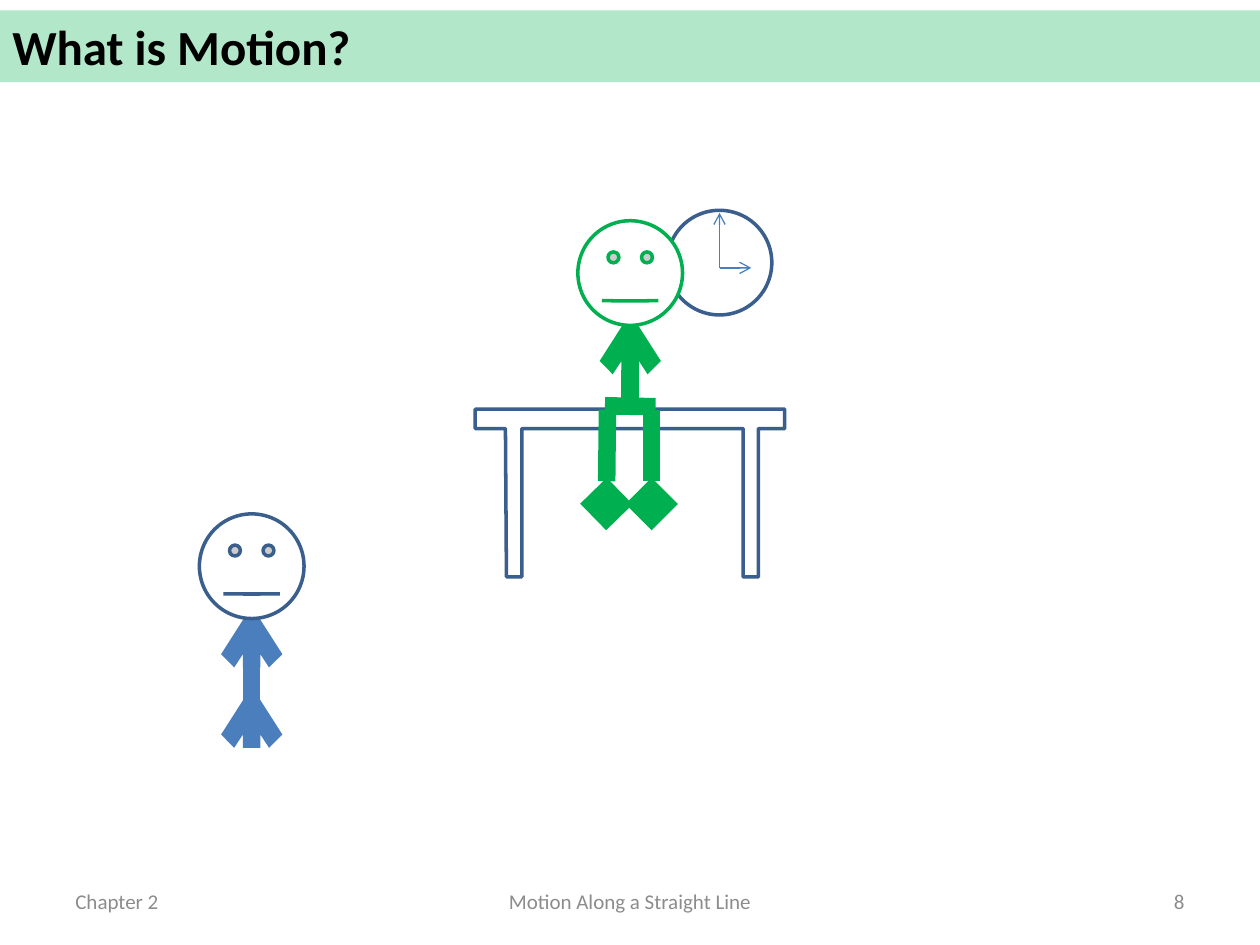
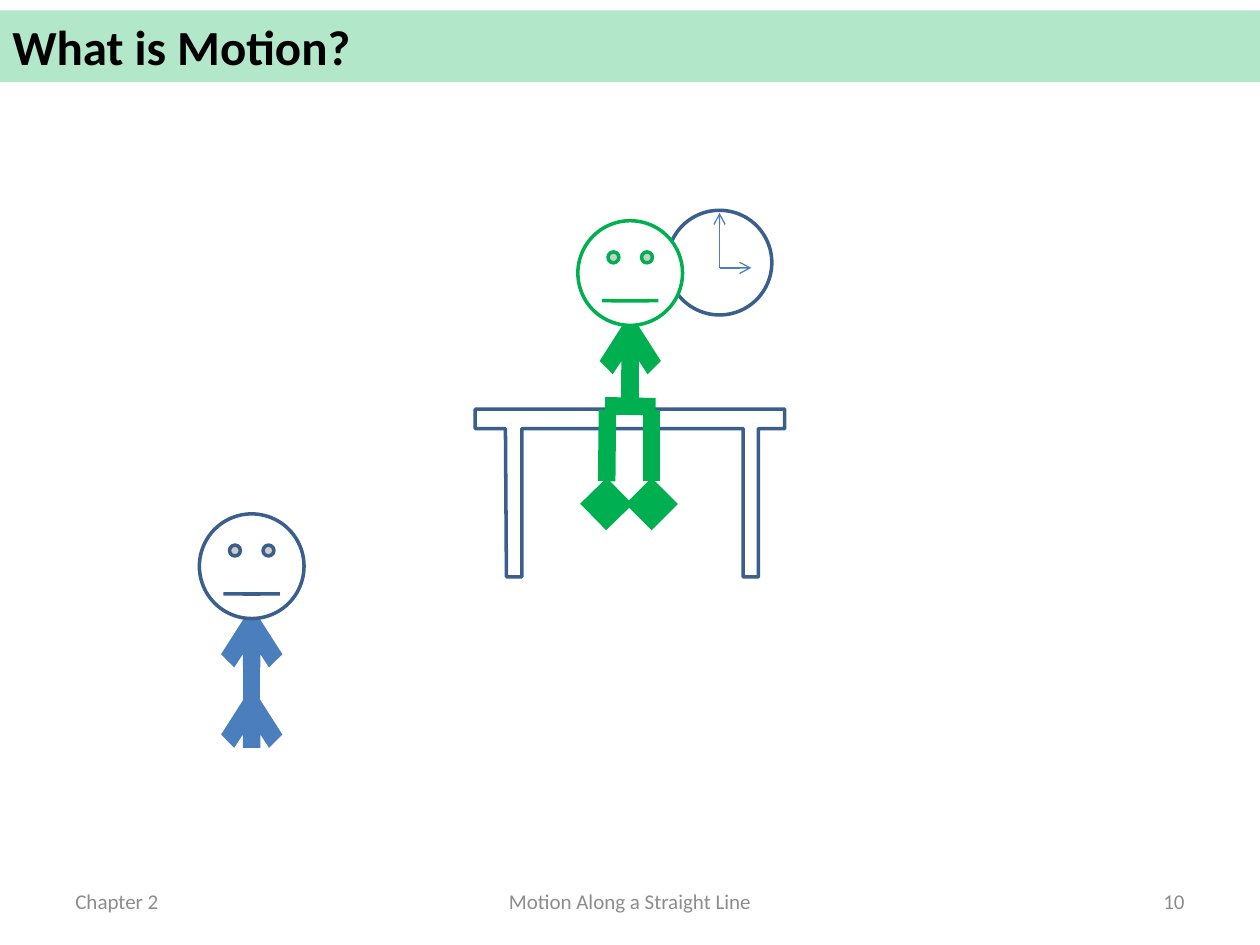
from dataclasses import dataclass
from lxml.etree import SubElement
from pptx import Presentation
from pptx.dml.color import RGBColor
from pptx.enum.shapes import MSO_CONNECTOR, MSO_SHAPE
from pptx.enum.text import MSO_ANCHOR, MSO_AUTO_SIZE, PP_ALIGN
from pptx.oxml.ns import qn
from pptx.util import Cm, Pt


@dataclass(frozen=True)
class Theme:
    font: str = "Calibri"
    green: str = "00B050"
    navy: str = "3A5F8C"
    blue: str = "4B7EBC"
    white: str = "FFFFFF"
    black: str = "000000"
    gray: str = "8C8C8C"
    title: float = 28
    small: float = 12
    thin: float = 0.75
    edge: float = 2
    limb: float = 10
    alpha: int = 30


theme = Theme()
WIDE, HIGH = 25.4, 19.05
HEAD = 2.11


def color(code):
    return RGBColor.from_string(code)


def write(shape, text, size, code, align, bold=False):
    frame = shape.text_frame
    frame.word_wrap = True
    para = frame.paragraphs[0]
    para.alignment = align
    run = para.add_run()
    run.text = text
    run.font.name = theme.font
    run.font.size = Pt(size)
    run.font.bold = bold
    run.font.color.rgb = color(code)
    return frame


def paint(shape, edge, fill=None):
    shape.shadow.inherit = False
    if fill:
        shape.fill.solid()
        shape.fill.fore_color.rgb = color(fill)
    else:
        shape.fill.background()
    shape.line.color.rgb = color(edge)
    shape.line.width = Pt(theme.edge)


def stroke(group, start, end, code, width, tip=None):
    ends = [Cm(value) for value in (*start, *end)]
    line = group.shapes.add_connector(MSO_CONNECTOR.STRAIGHT, *ends)
    line.line.color.rgb = color(code)
    line.line.width = Pt(width)
    if tip:
        SubElement(line.line._get_or_add_ln(), qn("a:tailEnd"), type=tip)
    SubElement(line._element.spPr, qn("a:effectLst"))


def circle(group, kind, x, y, edge, fill=None):
    shape = group.shapes.add_shape(kind, Cm(x), Cm(y), Cm(HEAD), Cm(HEAD))
    paint(shape, edge, fill)
    return shape


def banner(slide, text, x, y, w, h):
    band = slide.shapes.add_shape(MSO_SHAPE.RECTANGLE, Cm(x), Cm(y), Cm(w), Cm(h))
    band.shadow.inherit = False
    band.line.fill.background()
    band.fill.solid()
    band.fill.fore_color.rgb = color(theme.green)
    tint = band._element.spPr.find(qn("a:solidFill"))[0]
    SubElement(tint, qn("a:alpha"), val=str(theme.alpha * 1000))
    frame = write(band, text, theme.title, theme.black, PP_ALIGN.JUSTIFY, True)
    frame.vertical_anchor = MSO_ANCHOR.TOP
    frame.auto_size = MSO_AUTO_SIZE.SHAPE_TO_FIT_TEXT


def footer(slide, number, x, y, w, h):
    side, mid = 5.92, 8.04
    parts = (
        ("Chapter 2", x, side, PP_ALIGN.LEFT),
        ("Motion Along a Straight Line", x + (w - mid) / 2, mid, PP_ALIGN.CENTER),
        (str(number), x + w - side, side, PP_ALIGN.RIGHT),
    )
    for text, left, width, align in parts:
        box = slide.shapes.add_textbox(Cm(left), Cm(y), Cm(width), Cm(h))
        frame = write(box, text, theme.small, theme.gray, align)
        frame.vertical_anchor = MSO_ANCHOR.MIDDLE


def desk(group, x, y, w, h):
    top, inset, leg = 0.39, 0.61, 0.31
    right = w - 0.53
    points = (
        (0, 0), (0, top), (inset, top), (inset + 0.02, h),
        (inset + leg + 0.02, h), (inset + leg + 0.02, top),
        (right - leg, top), (right - leg, h), (right, h),
        (right, top), (w, top), (w, 0),
    )
    spots = [(Cm(x + px), Cm(y + py)) for px, py in points]
    outline = group.shapes.build_freeform(*spots[0])
    outline.add_line_segments(spots[1:], close=True)
    paint(outline.convert_to_shape(), theme.navy)


def clock(group, x, y):
    circle(group, MSO_SHAPE.OVAL, x, y, theme.navy)
    hub = (x + HEAD / 2, y + 1.16)
    for tip in ((hub[0], y + 0.05), (hub[0] + 0.64, hub[1])):
        stroke(group, hub, tip, theme.blue, theme.thin, "arrow")


def bust(group, x, y, body, edge):
    mid = x + HEAD / 2
    stroke(group, (mid, y + 3.84), (mid, y + 1.86), body, theme.limb, "arrow")
    face = circle(group, MSO_SHAPE.SMILEY_FACE, x, y, edge, theme.white)
    face.adjustments[0] = 0.001
    return mid


def stander(slide, x, y):
    group = slide.shapes.add_group_shape()
    mid = bust(group, x, y, theme.blue, theme.navy)
    stroke(group, (mid, y + 3.74), (mid, y + 3.48), theme.blue, theme.limb, "arrow")


def sitter(slide, x, y):
    group = slide.shapes.add_group_shape()
    mid = bust(group, x, y, theme.green, theme.green)
    for hip, foot in ((mid - 0.46, mid - 0.48), (mid + 0.43, mid + 0.43)):
        stroke(group, (hip, y + 3.81), (foot, y + 5.71),
               theme.green, theme.limb, "diamond")
    stroke(group, (mid - 0.51, y + 3.73), (mid + 0.51, y + 3.75),
           theme.green, theme.limb)


def office(slide, x, y):
    group = slide.shapes.add_group_shape()
    desk(group, x, y + 4.01, 6.24, 3.38)
    clock(group, x + 3.87, y)


def scene(deck, number):
    slide = deck.slides.add_slide(deck.slide_layouts[6])
    banner(slide, "What is Motion?", 0, 0.21, WIDE, 1.45)
    office(slide, 9.58, 4.24)
    stander(slide, 4.02, 10.36)
    sitter(slide, 11.65, 4.45)
    footer(slide, number, 1.27, 17.66, WIDE - 2 * 1.27, 1.01)


deck = Presentation()
deck.slide_width, deck.slide_height = Cm(WIDE), Cm(HIGH)
for number in (8, 10):
    scene(deck, number)
deck.save("out.pptx")
